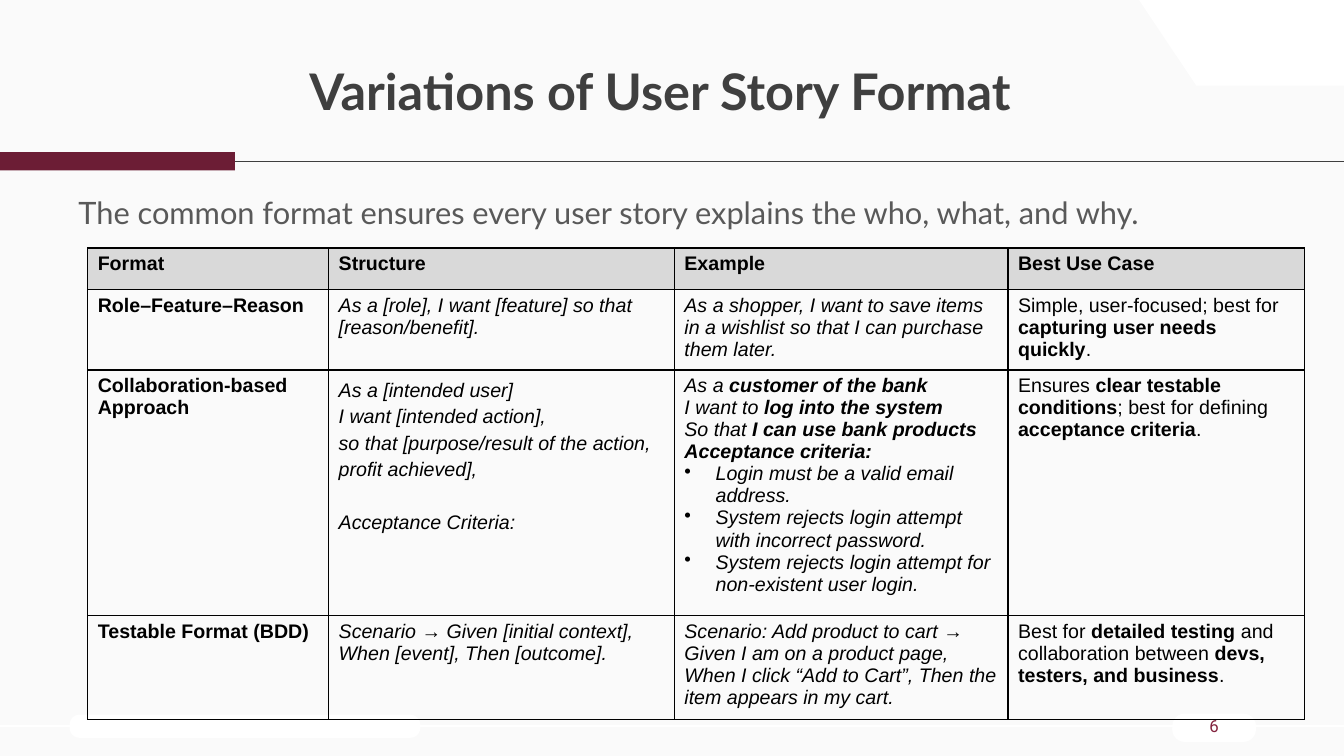
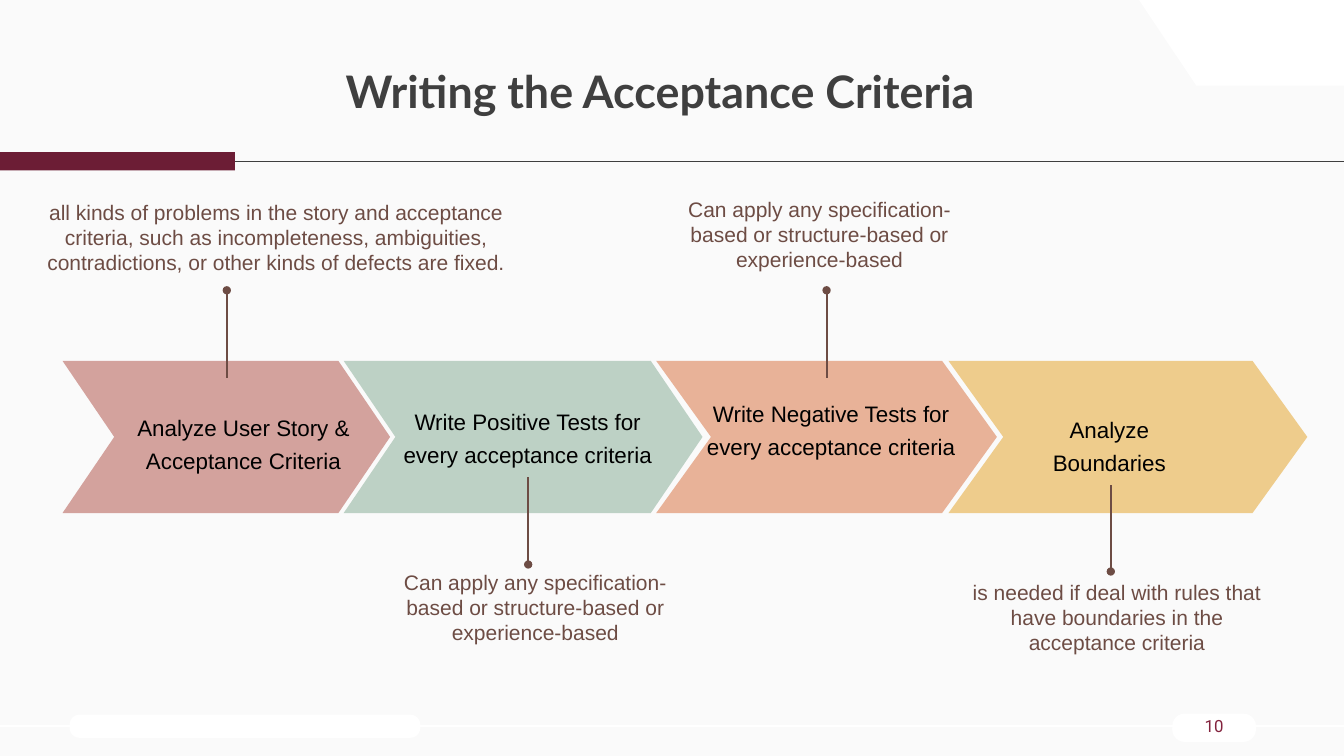
import pptx
import pptx.util
import pptx.dml.color
import pptx.enum.shapes
import pptx.enum.text
import pptx.oxml
import pptx.oxml.ns
from lxml import etree

Pt = pptx.util.Pt
SHAPE = pptx.enum.shapes.MSO_SHAPE
ALIGN = pptx.enum.text.PP_ALIGN
ANCHOR = pptx.enum.text.MSO_ANCHOR
qn = pptx.oxml.ns.qn

# The grid has ten columns and ten rows to the inch.
UNIT = 91440
WIDE, HIGH = 133.33, 75

COLORS = {
    "page": "FAFAFA", "white": "FFFFFF", "rule": "3F3F3F", "wine": "6C1D35",
    "title": "3F3F3F", "number": "83233E", "lead": "595959", "ink": "000000",
    "head": "D9D9D9", "note": "6D4C44", "rose": "D3A29D", "sage": "BDD1C5",
    "peach": "E8B298", "sand": "EECC8C",
}

HEADS = ["Format", "Structure", "Example", "Best Use Case"]
FORMATS = [
    ["**Role–Feature–Reason**",
     "As a [role], I want [feature] so that [reason/benefit].",
     "As a shopper, I want to save items in a wishlist so that I can "
     "purchase them later.",
     "Simple, user-focused; best for **capturing user needs quickly**."],
    ["**Collaboration-based Approach**",
     "As a [intended user]\nI want [intended action],\n"
     "so that [purpose/result of the action, profit achieved],\n"
     "Acceptance Criteria:",
     "As a **customer of the bank**\nI want to **log into the system**\n"
     "So that **I can use bank products**\n**Acceptance criteria:**\n"
     "• Login must be a valid email address.\n"
     "• System rejects login attempt with incorrect password.\n"
     "• System rejects login attempt for non-existent user login.",
     "Ensures **clear testable conditions**; best for defining "
     "**acceptance criteria**."],
    ["**Testable Format (BDD)**",
     "Scenario → Given [initial context], When [event], Then [outcome].",
     "Scenario: Add product to cart → Given I am on a product page, When I "
     "click “Add to Cart”, Then the item appears in my cart.",
     "Best for **detailed testing** and collaboration between "
     "**devs, testers, and business**."],
]

ANY = ("Can apply any specification-based or structure-based or "
       "experience-based")
# Places are relative to the band of chevrons; a pin runs from dot to end.
STEPS = [
    {"color": "rose", "left": 0, "wide": 32.5, "bend": 0.34,
     "label": "Analyze User Story & Acceptance Criteria", "at": (4.5, 4.8),
     "pin": (16.3, -7, 1.7), "box": (-2.1, -16, 46.6, 7.7),
     "note": "all kinds of problems in the story and acceptance criteria, "
             "such as incompleteness, ambiguities, contradictions, or other "
             "kinds of defects are fixed."},
    {"color": "sage", "left": 27.9, "wide": 35.6, "bend": 0.34,
     "label": "Write Positive Tests for every acceptance criteria",
     "at": (32.7, 4.2), "pin": (46.2, 20.2, 11.5),
     "box": (32.7, 20.7, 28.4, 7.6), "note": ANY},
    {"color": "peach", "left": 58.9, "wide": 33.8, "bend": 0.36,
     "label": "Write Negative Tests for every acceptance criteria",
     "at": (62.8, 3.4), "pin": (75.8, -7, 1.7),
     "box": (61.1, -16.3, 28, 7.6), "note": ANY},
    {"color": "sand", "left": 87.9, "wide": 35.6, "bend": 0.36,
     "label": "Analyze\nBoundaries", "at": (90.4, 5),
     "pin": (104, 20.9, 12.3), "box": (89.7, 21.7, 29.8, 7.6),
     "note": "is needed if deal with rules that have boundaries in the "
             "acceptance criteria"},
]


def rgb(name):
    return pptx.dml.color.RGBColor.from_string(COLORS[name])


def grid(*nums):
    return [round(n * UNIT) for n in nums]


def ink(font, size, color, face="Arial", bold=False, slant=False):
    font.size, font.name = Pt(size), face
    font.bold, font.italic = bold, slant
    font.color.rgb = rgb(color)


def paint(shape, color):
    shape.shadow.inherit = False
    shape.fill.solid()
    shape.fill.fore_color.rgb = rgb(color)
    shape.line.fill.background()


def block(slide, kind, box, color, bend=None):
    shape = slide.shapes.add_shape(kind, *grid(*box))
    paint(shape, color)
    if bend is not None:
        shape.adjustments[0] = bend
    return shape


def rule(slide, start, end, color, width, dot=False):
    """Straight line, with a round dot at its start if asked."""
    line = slide.shapes.add_connector(
        pptx.enum.shapes.MSO_CONNECTOR.STRAIGHT, *grid(*start, *end))
    line.line.color.rgb = rgb(color)
    line.line.width = Pt(width)
    if dot:
        etree.SubElement(line.line._get_or_add_ln(), qn("a:headEnd"),
                         type="oval")
    etree.SubElement(line._element.spPr, qn("a:effectLst"))


def write(slide, box, text, size, color, face="Arial", align=ALIGN.CENTER,
          space=1.0, inset=0, anchor=ANCHOR.TOP):
    frame = slide.shapes.add_textbox(*grid(*box)).text_frame
    frame.word_wrap = True
    frame.vertical_anchor = anchor
    frame.margin_left, frame.margin_top, frame.margin_right, \
        frame.margin_bottom = grid(*[inset] * 4)
    frame.text = text
    for para in frame.paragraphs:
        para.alignment, para.line_spacing = align, space
        for run in para.runs:
            ink(run.font, size, color, face)


def corner(slide, box):
    x, y, w, h = box
    path = slide.shapes.build_freeform(*grid(x, y), scale=1.0)
    path.add_line_segments([grid(*spot) for spot in (
        (x + w, y), (x + w, y + h), (x + w * 0.28, y + h))], close=True)
    paint(path.convert_to_shape(), "white")


def start(deck, title, size, number):
    """Title-only slide with the shared frame, title and number."""
    slide = deck.slides.add_slide(deck.slide_layouts[5])
    block(slide, SHAPE.ROUNDED_RECTANGLE, (6.9, 70.9, 34.8, 2.3), "white",
          0.44)
    rule(slide, (0, 72), (WIDE, 72), "white", 1.5)
    block(slide, SHAPE.ROUNDED_RECTANGLE, (116.3, 70.8, 8.3, 2.8), "white",
          0.44)
    corner(slide, (113, 0, WIDE - 113, 8.5))
    rule(slide, (5.3, 16), (WIDE, 16), "rule", 0.75)
    block(slide, SHAPE.RECTANGLE, (0, 15.1, 23.3, 1.8), "wine")
    head = slide.shapes.title
    head.left, head.top, head.width, head.height = grid(4.1, 4.3, 122.8, 10.1)
    head.text_frame.text = title
    head.text_frame.vertical_anchor = ANCHOR.MIDDLE
    para = head.text_frame.paragraphs[0]
    para.alignment, para.line_spacing = ALIGN.CENTER, 0.9
    ink(para.runs[0].font, size, "title", "Lato", bold=True)
    write(slide, (116.3, 70.3, 8.3, 3.5), str(number), 12, "number",
          "Roboto", inset=0.5, anchor=ANCHOR.MIDDLE)
    return slide


def bullet(para):
    props = para._p.get_or_add_pPr()
    props.set("marL", str(round(3.1 * UNIT)))
    props.set("indent", str(round(-3.1 * UNIT)))
    etree.SubElement(props, qn("a:buChar"), char="•")


def edge(cell):
    props = cell._tc.get_or_add_tcPr()
    for side in "LRTB":
        line = etree.SubElement(props, qn("a:ln" + side), w=str(Pt(1)))
        fill = etree.SubElement(line, qn("a:solidFill"))
        etree.SubElement(fill, qn("a:srgbClr"), val=COLORS["ink"])


def enter(cell, text, slant):
    """Fill a cell; ** toggles bold and a leading • makes a bullet."""
    frame = cell.text_frame
    for row, line in enumerate(text.split("\n")):
        para = frame.add_paragraph() if row else frame.paragraphs[0]
        if line.startswith("• "):
            bullet(para)
            line = line[2:]
        for turn, part in enumerate(line.split("**")):
            if part:
                run = para.add_run()
                run.text = part
                ink(run.font, 14, "ink", bold=turn % 2 == 1, slant=slant)


def chart(slide, box, cols, rows):
    """Table of story formats with a grey head row."""
    table = slide.shapes.add_table(len(rows), len(cols), *grid(*box)).table
    table.horz_banding = table.first_row = False
    for col, wide in zip(table.columns, cols):
        col.width = grid(wide)[0]
    for row, high in zip(table.rows, rows):
        row.height = grid(high)[0]
    lines = [[f"**{head}**" for head in HEADS]] + FORMATS
    for r, line in enumerate(lines):
        for c, text in enumerate(line):
            cell = table.cell(r, c)
            edge(cell)
            enter(cell, text, slant=r > 0 and c in (1, 2))
            if r:
                cell.fill.background()
            else:
                cell.fill.solid()
                cell.fill.fore_color.rgb = rgb("head")
    paras = table.cell(2, 1).text_frame.paragraphs
    for para in paras:
        para.line_spacing = 1.2
    paras[-1].space_before = Pt(19)


def flow(slide, box):
    """Chevrons in a band, each with a label, a pin and a note."""
    x, y, _, h = box
    for step in STEPS:
        block(slide, SHAPE.CHEVRON, (x + step["left"], y, step["wide"], h),
              step["color"], step["bend"])
    for step in STEPS:
        left, top = step["at"]
        write(slide, (x + left, y + top, 26.9, 6.5), step["label"], 16,
              "ink", space=1.2)
        mid, dot, end = step["pin"]
        rule(slide, (x + mid, y + dot), (x + mid, y + end), "note", 1.5,
             dot=True)
        left, top, wide, high = step["box"]
        write(slide, (x + left, y + top, wide, high), step["note"], 15,
              "note")


def main():
    deck = pptx.Presentation()
    deck.slide_width, deck.slide_height = grid(WIDE, HIGH)
    page = deck.slide_master.background.fill
    page.solid()
    page.fore_color.rgb = rgb("page")

    slide = start(deck, "Variations of User Story Format", 36, 6)
    write(slide, (6.8, 16.4, 114.2, 7),
          "The common format ensures every user story explains the who, "
          "what, and why.", 22, "lead", "Lato", ALIGN.LEFT, 1.5, 1)
    chart(slide, (8.7, 24.6, 120.7, 44.2), (23.9, 34.3, 33.1, 29.4),
          (4.1, 7.5, 22.9, 9.7))

    slide = start(deck, "Writing the Acceptance Criteria", 32, 10)
    flow(slide, (6.2, 35.8, 123.5, 15.1))
    deck.save("out.pptx")


if __name__ == "__main__":
    main()
